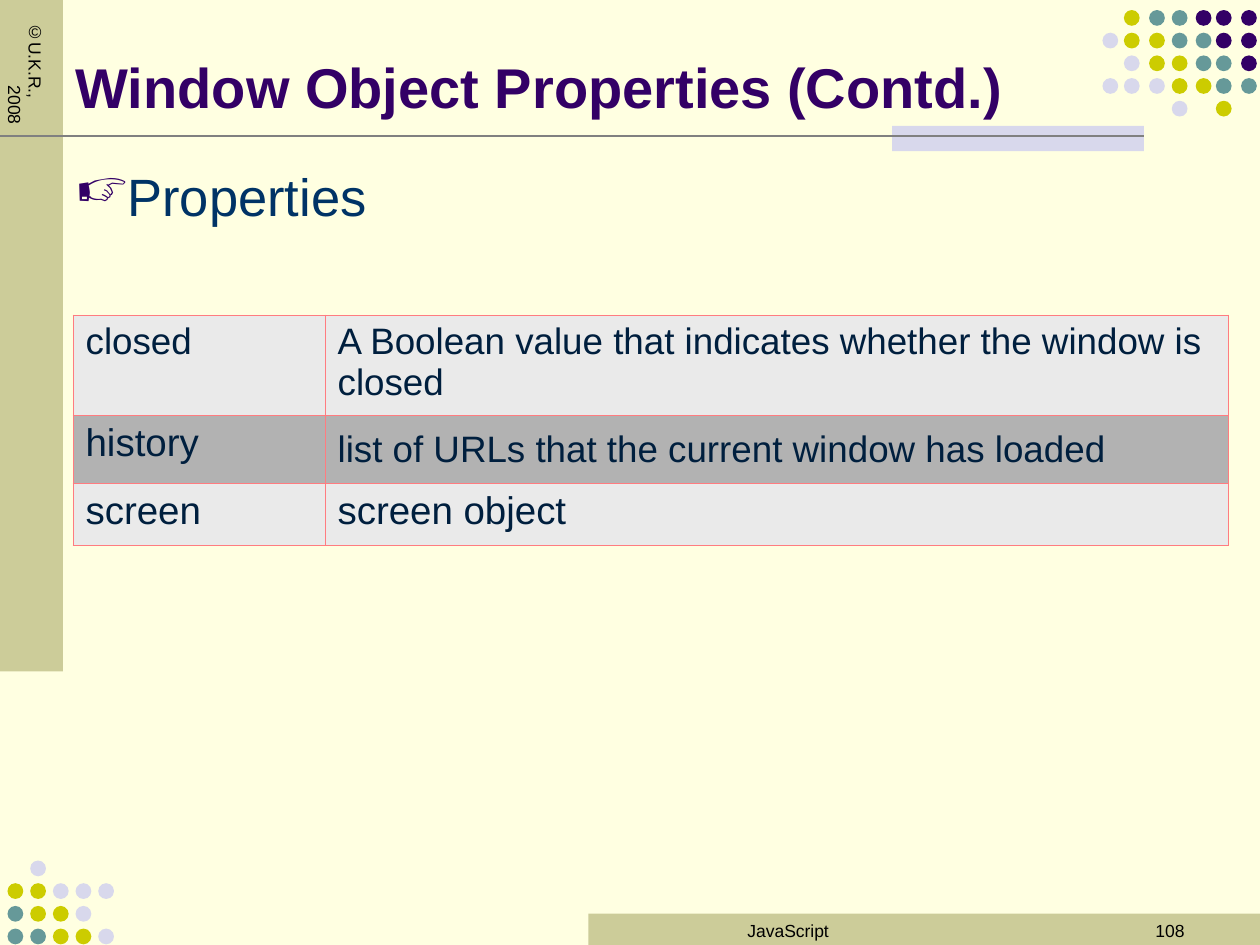
from lxml.etree import SubElement as Sub
from pptx import Presentation as Deck
from pptx.dml.color import RGBColor as Rgb
from pptx.enum.shapes import MSO_CONNECTOR as Link, MSO_SHAPE as Form
from pptx.enum.text import MSO_ANCHOR as Anchor, MSO_AUTO_SIZE as Fit, PP_ALIGN as Align
from pptx.oxml.ns import qn
from pptx.util import Inches, Pt

DOTS = {"P": "330066", "T": "669999", "Y": "CCCC00", "D": "D8D8EC"}
TOP = [".YTTPPP", "DYYTTPP", ".DYYTTP", "DDDYYTT", "...D.Y."]
LOW = [".D...", "YYDDD", "TYYD.", "TTYYD"]
ROWS = [
    ("closed", "A Boolean value that indicates whether the window is closed", 21, 21, 0.8, "EAEAEA"),
    ("history", "list of URLs that the current window has loaded", 22, 21, 0.54, "B2B2B2"),
    ("screen", "screen object", 22, 22, 0.49, "EAEAEA"),
]


def hue(code):
    return Rgb.from_string(code)


def paint(fill, code):
    fill.solid()
    fill.fore_color.rgb = hue(code)


def write(frame, words, size=10, color="000000", bold=False, align=Align.LEFT,
          anchor=Anchor.TOP, indent=0, mark=None, tint=None):
    frame.word_wrap = True
    frame.auto_size = Fit.NONE
    frame.vertical_anchor = anchor
    frame.text = words
    para = frame.paragraphs[0]
    para.alignment = align
    props = para._p.get_or_add_pPr()
    if indent:
        props.set("marL", str(Inches(indent)))
        props.set("indent", str(-Inches(indent)))
    if mark:
        Sub(Sub(props, qn("a:buClr")), qn("a:srgbClr"), val=tint)
        Sub(props, qn("a:buChar"), char=mark)
    font = para.runs[0].font
    font.name = "Arial"
    font.size = Pt(size)
    font.bold = bold
    font.color.rgb = hue(color)


class Page:
    ink = "001F3E"
    edge = "FF7C80"

    def __init__(self, deck):
        self.slide = deck.slides.add_slide(deck.slide_layouts[5])
        self.shapes = self.slide.shapes
        paint(self.slide.background.fill, "FFFFE1")

    def title(self, words, box, **style):
        head = self.shapes.title
        head.left, head.top, head.width, head.height = map(Inches, box)
        write(head.text_frame, words, **style)

    def shape(self, form, box, color):
        item = self.shapes.add_shape(form, *map(Inches, box))
        item.shadow.inherit = False
        paint(item.fill, color)
        item.line.fill.background()

    def dots(self, rows, lefts, tops):
        for row, top in zip(rows, tops):
            for key, left in zip(row, lefts):
                if key in DOTS:
                    self.shape(Form.OVAL, (left, top, 0.125, 0.125), DOTS[key])

    def rule(self, start, end, color, width):
        line = self.shapes.add_connector(Link.STRAIGHT, *map(Inches, start + end))
        line.line.color.rgb = hue(color)
        line.line.width = Pt(width)
        Sub(line._element.spPr, qn("a:effectLst"))

    def text(self, words, box, **style):
        frame = self.shapes.add_textbox(*map(Inches, box)).text_frame
        write(frame, words, **style)
        return frame

    def side(self, words, box, **style):
        frame = self.text(words, box, **style)
        frame.margin_left = frame.margin_right = Inches(0.05)
        frame.margin_top = frame.margin_bottom = Inches(0.1)
        frame._txBody.bodyPr.set("vert", "eaVert")

    def cell(self, cell, words, size, fill):
        write_cell = cell.text_frame
        write_cell.text = words
        font = write_cell.paragraphs[0].runs[0].font
        font.name = "Arial"
        font.size = Pt(size)
        font.color.rgb = hue(self.ink)
        props = cell._tc.get_or_add_tcPr()
        for side in ("lnL", "lnR", "lnT", "lnB"):
            line = Sub(props, qn("a:" + side), w=str(Pt(0.45)))
            Sub(Sub(line, qn("a:solidFill")), qn("a:srgbClr"), val=self.edge)
        paint(cell.fill, fill)

    def table(self, rows, box, widths):
        grid = self.shapes.add_table(len(rows), len(widths), *map(Inches, box)).table
        grid.first_row = grid.horz_banding = False
        for col, width in zip(grid.columns, widths):
            col.width = Inches(width)
        for at, (name, note, big, small, height, fill) in enumerate(rows):
            grid.rows[at].height = Inches(height)
            self.cell(grid.cell(at, 0), name, big, fill)
            self.cell(grid.cell(at, 1), note, small, fill)
        return grid


def main():
    deck = Deck()
    deck.slide_width, deck.slide_height = Inches(10), Inches(7.5)
    page = Page(deck)

    page.shape(Form.RECTANGLE, (4.67, 7.25, 5.33, 0.25), "CCCC99")
    page.dots(TOP, [8.75, 8.92, 9.12, 9.3, 9.49, 9.65, 9.85],
              [0.08 + 0.18 * n for n in range(5)])
    page.shape(Form.RECTANGLE, (0, 0, 0.5, 5.33), "CCCC99")
    page.shape(Form.RECTANGLE, (7.08, 1, 2, 0.2), "D8D8EC")
    page.rule((0, 1.08), (9.08, 1.08), "808080", 1.5)
    page.side("©U.K.R., 2008", (0.25, 0.08, 0.17, 1.08), indent=0.5)
    page.dots(LOW, [0.06 + 0.18 * n for n in range(5)],
              [6.83 + 0.18 * n for n in range(4)])

    page.text("JavaScript", (4.67, 7.25, 3.17, 0.5), align=Align.CENTER)
    page.text("108", (7.17, 7.25, 2.33, 0.5), align=Align.RIGHT)
    page.title("Window Object Properties (Contd.)", (0.5, 0.13, 8.25, 0.87),
               size=32, color="330066", bold=True, anchor=Anchor.BOTTOM)
    grid = page.table(ROWS, (0.58, 2.5, 9.17, 1.83), (2, 7.17))
    grid.cell(1, 1).margin_top = Inches(0.11)
    page.text("Properties", (0.5, 1.25, 9.33, 5.67), size=30, color="003366",
              indent=0.38, mark="☞", tint="330066")
    deck.save("out.pptx")


if __name__ == "__main__":
    main()
